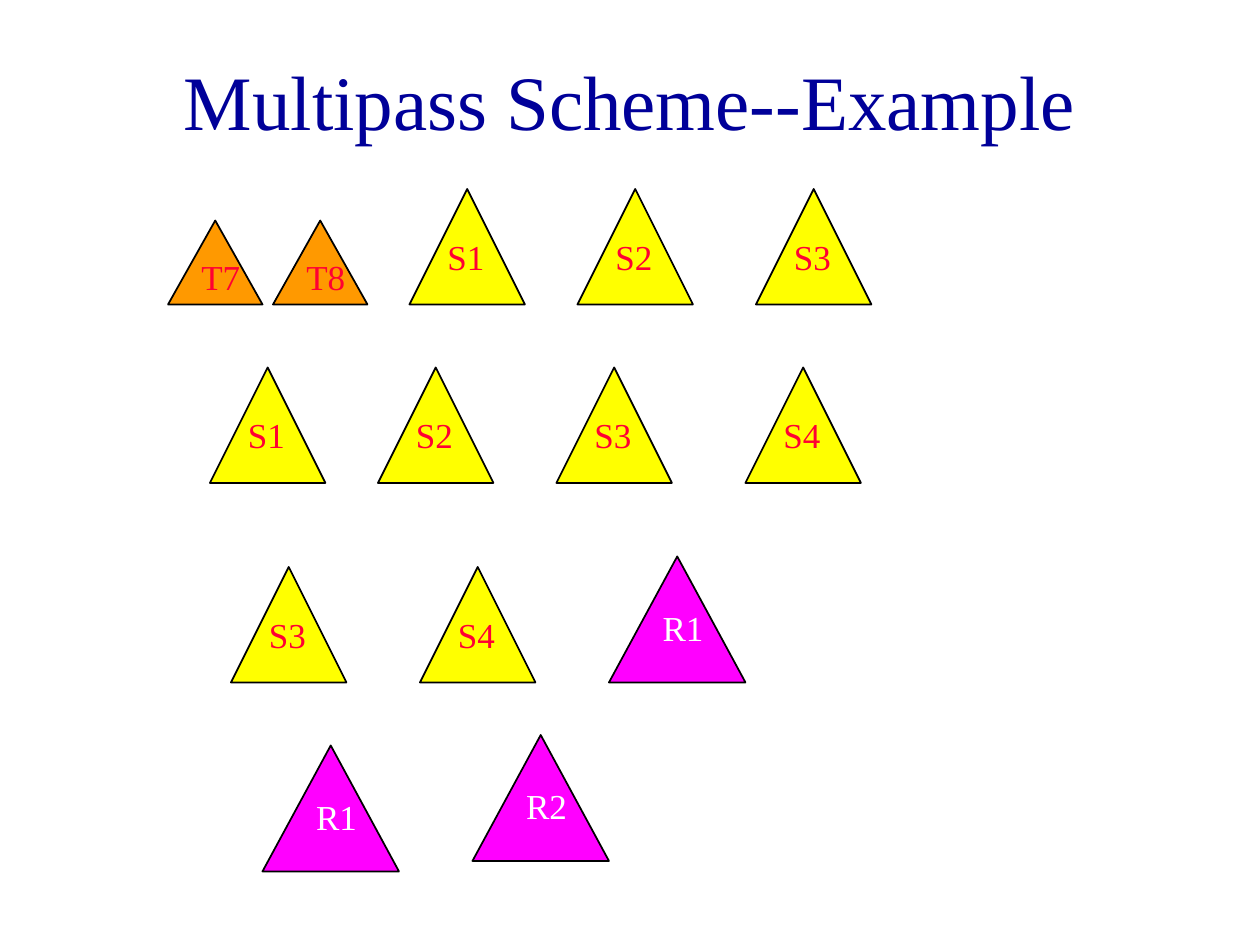
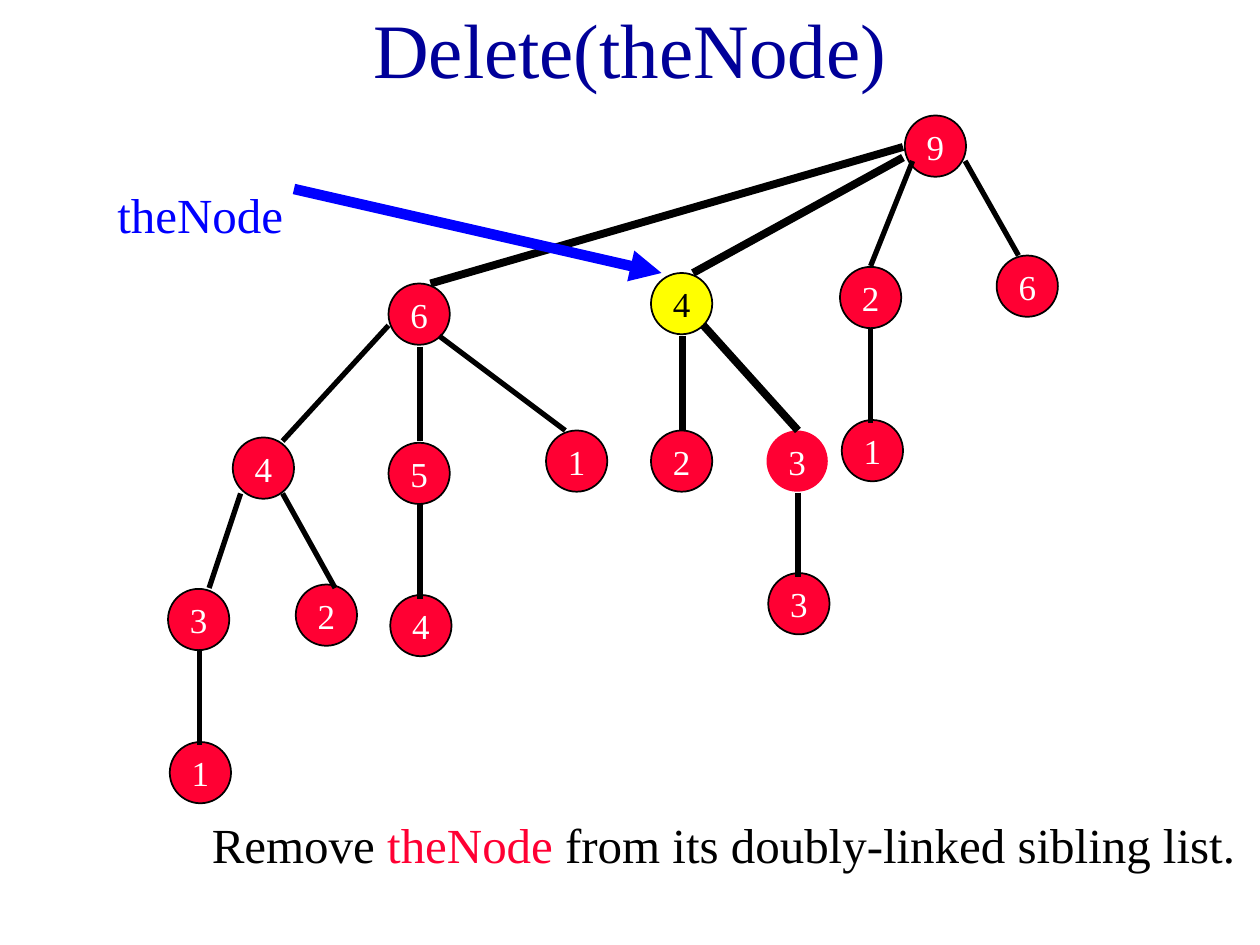
from lxml import etree
from pptx import Presentation
from pptx.dml.color import RGBColor
from pptx.enum.shapes import MSO_CONNECTOR, MSO_SHAPE
from pptx.enum.text import MSO_ANCHOR, PP_ALIGN
from pptx.oxml.ns import qn
from pptx.util import Pt

LINE = MSO_CONNECTOR.STRAIGHT
PEAK, DISC = MSO_SHAPE.ISOSCELES_TRIANGLE, MSO_SHAPE.OVAL
LEFT, MID = PP_ALIGN.LEFT, PP_ALIGN.CENTER
TOP, HALF = MSO_ANCHOR.TOP, MSO_ANCHOR.MIDDLE
FONT = "Times New Roman"
NAVY, BLUE, RED, GOLD = "000099", "0000FF", "FF0033", "FFFF00"
ORANGE, PINK, BLACK, WHITE = "FF9900", "FF00FF", "000000", "FFFFFF"


def paint(fill, color):
    fill.solid()
    fill.fore_color.rgb = RGBColor.from_string(color)


def write(shape, runs, size, align=LEFT, anchor=TOP):
    frame = shape.text_frame
    frame.word_wrap = True
    frame.vertical_anchor = anchor
    para = frame.paragraphs[0]
    para.alignment = align
    for text, color in runs:
        run = para.add_run()
        run.text = text
        run.font.name = FONT
        run.font.size = Pt(size)
        paint(run.font.fill, color)


deck = Presentation()
deck.slide_width, deck.slide_height = Pt(720), Pt(540)

pages = []
for head, top, high in [("Multipass Scheme--Example", 12, 90), ("Delete(theNode)", 0, 54)]:
    page = deck.slides.add_slide(deck.slide_layouts[5])
    title = page.shapes.title
    title.left, title.top, title.width, title.height = Pt(54), Pt(top), Pt(612), Pt(high)
    write(title, [(head, NAVY)], 44, MID, HALF)
    pages.append(page.shapes)
passes, heap = pages

# kind: width, height, fill, ink, label dx, label dy, label width
kinds = {
    "T": (54, 48, ORANGE, RED, 12, 16.6, 42),
    "S": (66, 66, GOLD, RED, 14.6, 23, 51),
    "R": (78, 72, PINK, WHITE, 23.5, 25, 60),
}
trees = [
    ("T7", 96, 174), ("T8", 156, 174), ("S1", 234, 174), ("S2", 330, 174), ("S3", 432, 174),
    ("S1", 120, 276), ("S2", 216, 276), ("S3", 318, 276), ("S4", 426, 276),
    ("S3", 132, 390), ("S4", 240, 390), ("R1", 348, 390),
    ("R1", 150, 498), ("R2", 270, 492),
]
for name, left, base in trees:
    wide, high, color, ink, dx, dy, span = kinds[name[0]]
    top = base - high
    tree = passes.add_shape(PEAK, Pt(left), Pt(top), Pt(wide), Pt(high))
    tree.shadow.inherit = False
    paint(tree.fill, color)
    paint(tree.line.fill, BLACK)
    tree.line.width = Pt(1)
    label = passes.add_textbox(Pt(left + dx), Pt(top + dy), Pt(span), Pt(31.5))
    write(label, [(name, ink)], 20)

note = heap.add_textbox(Pt(114), Pt(462), Pt(606), Pt(41))
paint(note.fill, WHITE)
write(note, [("Remove ", BLACK), ("theNode ", RED),
             ("from its doubly-linked sibling list.", BLACK)], 28)

nodes = [
    ("9", 517, 66), ("2", 480, 152.5), ("6", 569.5, 146), ("1", 481, 240),
    ("6", 222, 162), ("5", 222, 253), ("1", 312, 246), ("4", 223, 340),
    ("4", 133, 250), ("3", 96, 336.5), ("2", 169, 334), ("1", 97, 424),
    ("2", 372, 246), ("4", 372, 156), ("3", 438, 246), ("3", 439, 327.5),
]
chosen, bare = (372, 156), (438, 246)
for key, left, top in nodes:
    node = heap.add_shape(DISC, Pt(left), Pt(top), Pt(35), Pt(35))
    node.shadow.inherit = False
    picked = (left, top) == chosen
    paint(node.fill, GOLD if picked else RED)
    if (left, top) == bare:
        node.line.fill.background()
    else:
        paint(node.line.fill, BLACK)
        node.line.width = Pt(1)
    frame = node.text_frame
    frame.margin_left = frame.margin_right = frame.margin_top = frame.margin_bottom = 0
    write(node, [(key, BLACK if picked else WHITE)], 20, MID, HALF)

thin = [
    (497.5, 188, 497.5, 242), (521.5, 92, 497.5, 152), (551.5, 92, 582, 146),
    (240, 288, 240, 342), (240, 198, 240, 252), (251, 192, 323, 246),
    (114, 372, 114, 426), (137.5, 282, 119.5, 336), (161.5, 282, 191.5, 336),
    (222, 186, 161.5, 252), (456, 281.5, 456, 330),
]
thick = [(390, 192, 390, 246), (402, 186, 456, 246), (516, 90, 396, 156), (516, 84, 246, 162)]
arrow = [(168, 108, 378, 156)]
for group, width, color in [(thin, 3, BLACK), (thick, 4.5, BLACK), (arrow, 6, BLUE)]:
    for ends in group:
        link = heap.add_connector(LINE, *map(Pt, ends))
        paint(link.line.fill, color)
        link.line.width = Pt(width)
        etree.SubElement(link._element.spPr, qn("a:effectLst"))
        if group is arrow:
            etree.SubElement(link.line._get_or_add_ln(), qn("a:tailEnd"), type="triangle")

label = heap.add_textbox(Pt(60), Pt(102), Pt(138), Pt(41))
write(label, [("theNode", BLUE)], 28)

deck.save("out.pptx")
